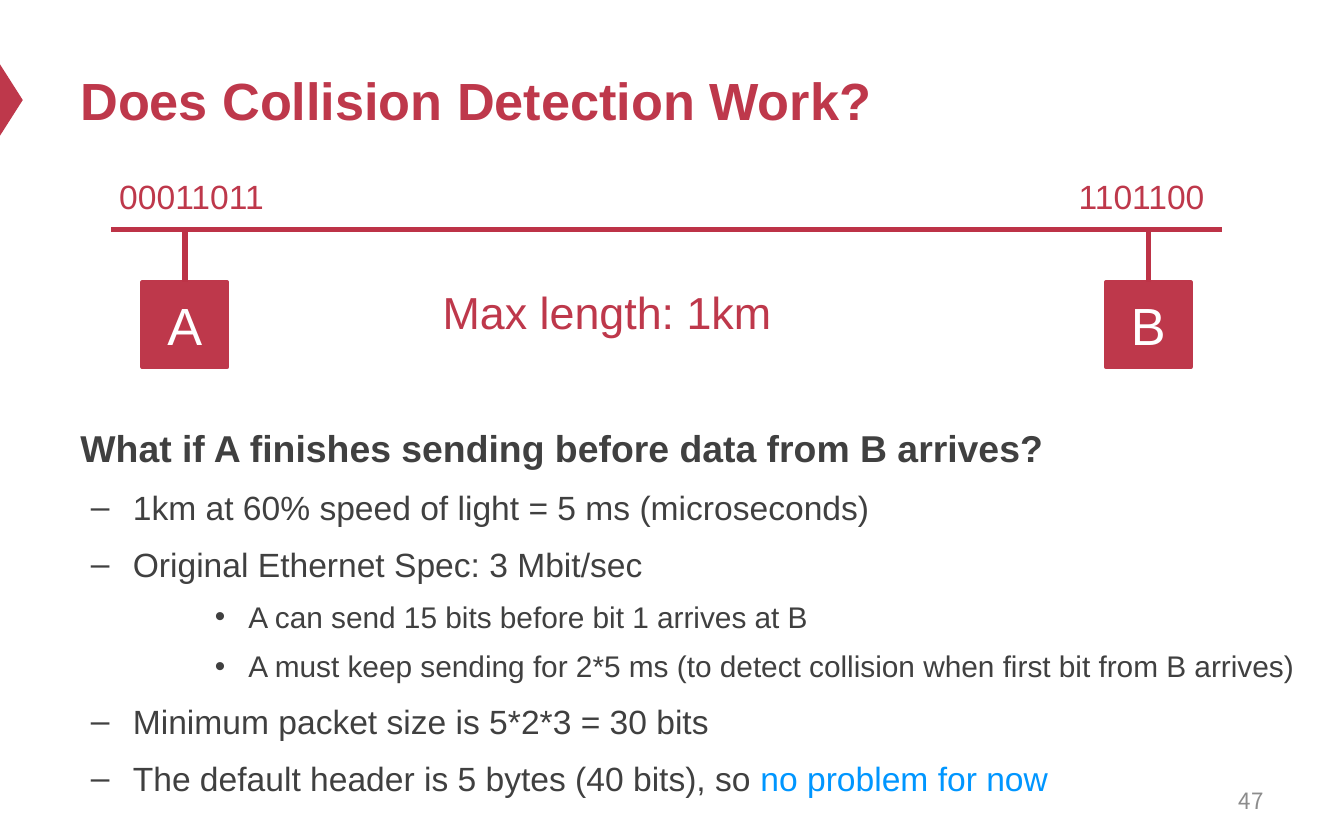
from dataclasses import dataclass

from lxml import etree
from pptx import Presentation
from pptx.dml.color import RGBColor
from pptx.enum.shapes import MSO_CONNECTOR, MSO_SHAPE
from pptx.enum.text import MSO_ANCHOR, PP_ALIGN
from pptx.oxml.ns import qn
from pptx.util import Pt

LEFT, CENTER, RIGHT = PP_ALIGN.LEFT, PP_ALIGN.CENTER, PP_ALIGN.RIGHT
TOP, MIDDLE = MSO_ANCHOR.TOP, MSO_ANCHOR.MIDDLE
STRAIGHT = MSO_CONNECTOR.STRAIGHT
RECTANGLE, TRIANGLE = MSO_SHAPE.RECTANGLE, MSO_SHAPE.ISOSCELES_TRIANGLE
TOP_SIDE = 0


@dataclass(frozen=True)
class Theme:
    """Colours, fonts and type sizes of the deck."""
    accent: str = "BE384B"
    wire: str = "BD3347"
    body: str = "404040"
    highlight: str = "0096FF"
    muted: str = "8C8C8C"
    white: str = "FFFFFF"
    font: str = "Arial"
    number_font: str = "Noto Sans CJK SC"
    title_size: int = 28
    caption_size: int = 24
    lead_size: int = 20
    text_size: int = 18
    detail_size: int = 16
    number_size: int = 12


THEME = Theme()


@dataclass(frozen=True)
class Level:
    """Look of one outline level."""
    size: int
    before: float
    bold: bool = False
    bullet: str = ""
    margin: float = 0
    hanging: float = 0


LEVELS = (
    Level(THEME.lead_size, 0, bold=True),
    Level(THEME.text_size, 4.6, bullet="–", margin=28.1, hanging=22.5),
    Level(THEME.detail_size, 3.7, bullet="•", margin=90, hanging=18),
)

OUTLINE = (
    (0, [("What if A finishes sending before data from B arrives?", THEME.body)]),
    (1, [("1km at 60% speed of light = 5 ms (microseconds)", THEME.body)]),
    (1, [("Original Ethernet Spec: 3 Mbit/sec", THEME.body)]),
    (2, [("A can send 15 bits before bit 1 arrives at B", THEME.body)]),
    (2, [("A must keep sending for 2*5 ms (to detect collision when first bit from B arrives)",
          THEME.body)]),
    (1, [("Minimum packet size is 5*2*3 = 30 bits", THEME.body)]),
    (1, [("The default header is 5 bytes (40 bits), so ", THEME.body),
         ("no problem for now", THEME.highlight)]),
)


def add_run(paragraph, text, size, color, bold=False, font=THEME.font):
    """Append one formatted run to a paragraph."""
    run = paragraph.add_run()
    run.text = text
    run.font.size = Pt(size)
    run.font.name = font
    run.font.bold = bold
    run.font.color.rgb = RGBColor.from_string(color)


def add_text_frame(slide, box, anchor=TOP, wrap=True):
    """Add an empty text box and return its text frame."""
    frame = slide.shapes.add_textbox(*map(Pt, box)).text_frame
    frame.word_wrap = wrap
    frame.vertical_anchor = anchor
    return frame


def add_label(slide, box, text, size, color=THEME.accent, align=LEFT,
              anchor=TOP, wrap=True, bold=False, font=THEME.font):
    """Add a text box that holds a single run."""
    paragraph = add_text_frame(slide, box, anchor, wrap).paragraphs[0]
    paragraph.alignment = align
    add_run(paragraph, text, size, color, bold, font)


def add_solid(slide, kind, box):
    """Add an accent-coloured shape without shadow or outline."""
    shape = slide.shapes.add_shape(kind, *map(Pt, box))
    shape.shadow.inherit = False
    shape.fill.solid()
    shape.fill.fore_color.rgb = RGBColor.from_string(THEME.accent)
    shape.line.fill.background()
    return shape


def add_wire(slide, start, end):
    """Add a straight cable between two points."""
    wire = slide.shapes.add_connector(STRAIGHT, *map(Pt, start + end))
    wire.line.width = Pt(3)
    wire.line.color.rgb = RGBColor.from_string(THEME.wire)
    etree.SubElement(wire._element.spPr, qn("a:effectLst"))
    return wire


def add_header(slide, box):
    """Place the edge marker and the title in the header band."""
    left, top, width, height = box
    length, thickness = 38.2, 12.2
    marker = add_solid(slide, TRIANGLE, (
        left + (thickness - length) / 2, top + 29.5, length, thickness))
    marker.rotation = 90
    add_label(slide, (left + 36, top, width - 72, height),
              "Does Collision Detection Work?", THEME.title_size,
              anchor=MIDDLE, bold=True)


def add_host(slide, center, bus_y, top, side, name):
    """Place one host square and the stem that ties it to the bus."""
    host = add_solid(slide, RECTANGLE, (center - side / 2, top, side, side))
    host.line.width = Pt(2)
    host.line.color.rgb = RGBColor.from_string(THEME.accent)
    host.text_frame.vertical_anchor = MIDDLE
    paragraph = host.text_frame.paragraphs[0]
    paragraph.alignment = CENTER
    add_run(paragraph, name, THEME.title_size, THEME.white)
    stem = add_wire(slide, (center, bus_y), (center, top))
    stem.end_connect(host, TOP_SIDE)


def add_network(slide, box):
    """Place the shared bus, its two hosts, their bits and the caption."""
    left, top, width, height = box
    bus_y, side, inset = top + 32.3, 45.5, 39.4
    add_wire(slide, (left, bus_y), (left + width, bus_y))
    hosts = (
        ("A", left + inset, "00011011", left - 2.8, 92.8),
        ("B", left + width - inset, "1101100", left + 511.2, 82.5),
    )
    for name, center, bits, bits_left, bits_width in hosts:
        add_host(slide, center, bus_y, top + height - side, side, name)
        add_label(slide, (bits_left, top, bits_width, 29), bits,
                  THEME.text_size, wrap=False)
    add_label(slide, (left + 85.6, top + 58.3, 360, 36), "Max length: 1km",
              THEME.caption_size, align=CENTER)


def add_bullet(paragraph, level):
    """Give a paragraph the indent and bullet of its level."""
    properties = paragraph._p.get_or_add_pPr()
    properties.set("marL", str(Pt(level.margin)))
    properties.set("indent", str(-Pt(level.hanging)))
    font = etree.SubElement(properties, qn("a:buFont"))
    font.set("typeface", THEME.font)
    etree.SubElement(properties, qn("a:buChar")).set("char", level.bullet)


def add_outline(slide, box):
    """Place the question and its bulleted answer."""
    frame = add_text_frame(slide, box)
    for index, (depth, runs) in enumerate(OUTLINE):
        paragraph = frame.add_paragraph() if index else frame.paragraphs[0]
        level = LEVELS[depth]
        paragraph.level = depth
        paragraph.line_spacing = 1.2
        if index:
            paragraph.space_before = Pt(level.before)
        if level.bullet:
            add_bullet(paragraph, level)
        for text, color in runs:
            add_run(paragraph, text, level.size, color, level.bold)


def add_page_number(slide, box):
    """Place the page number at the right of its box."""
    add_label(slide, box, "47", THEME.number_size, THEME.muted, RIGHT,
              MIDDLE, font=THEME.number_font)


def main():
    """Build the slide and save it."""
    presentation = Presentation()
    presentation.slide_width = Pt(720)
    presentation.slide_height = Pt(450)
    slide = presentation.slides.add_slide(presentation.slide_layouts[6])
    add_header(slide, (0, 18, 720, 70.6))
    add_outline(slide, (36, 219.6, 675.4, 221))
    add_network(slide, (59.6, 90.7, 595, 106))
    add_page_number(slide, (516.2, 416.9, 167.8, 23.8))
    presentation.save("out.pptx")


if __name__ == "__main__":
    main()
